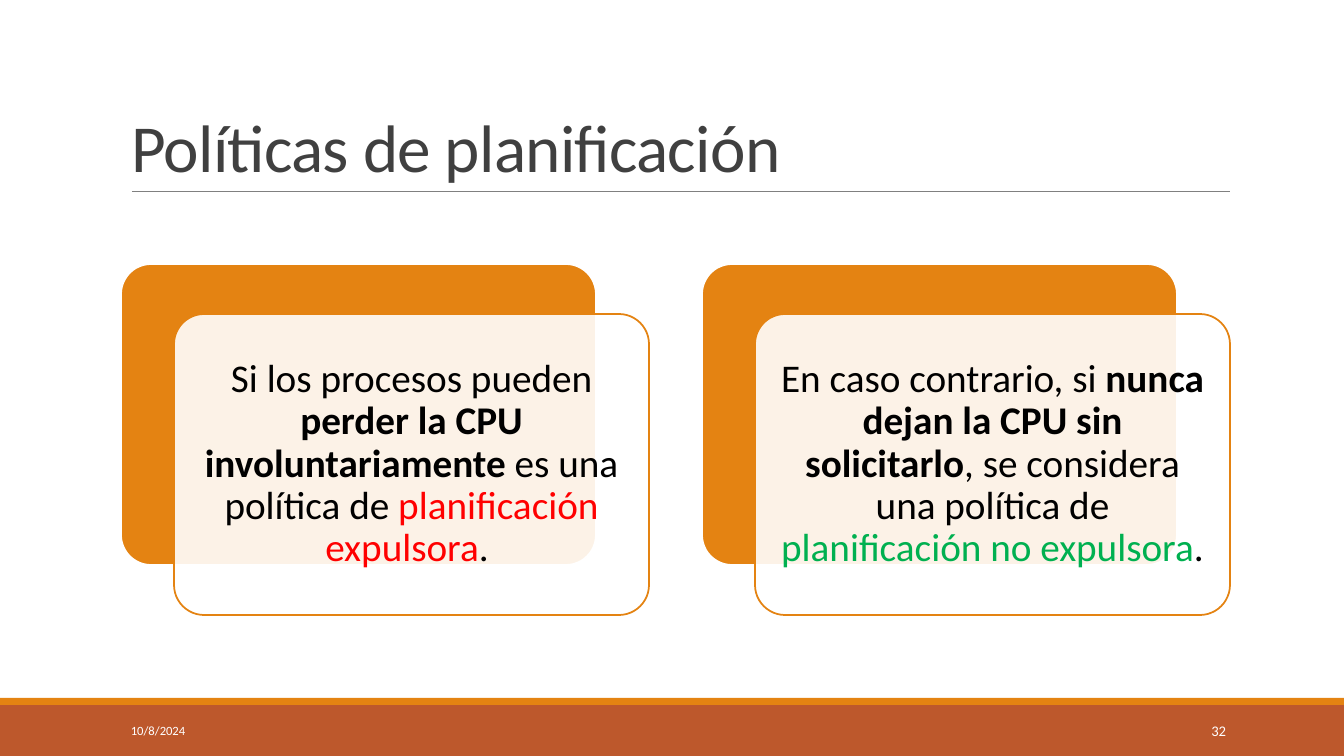
import pptx
import pptx.util
import pptx.dml.color
import pptx.enum.shapes
import pptx.enum.text
import pptx.oxml
import pptx.oxml.ns
from lxml import etree

SLIDE_W, SLIDE_H = 1344, 756
EMU_PER_PX = 12192000 / SLIDE_W
FONT = "Calibri"
ORANGE, RUST, WHITE, BLACK = "E48312", "BD582C", "FFFFFF", "000000"
RED, GREEN = "FF0000", "00B050"
SHAPE = pptx.enum.shapes.MSO_SHAPE
ALIGN = pptx.enum.text.PP_ALIGN
ANCHOR = pptx.enum.text.MSO_ANCHOR

# Each card is a list of (text, bold, colour)
CARDS = [
    [("Si los procesos pueden ", False, BLACK),
     ("perder la CPU involuntariamente ", True, BLACK),
     ("es una política de ", False, BLACK),
     ("planificación expulsora", False, RED),
     (". ", False, BLACK)],
    [("En caso contrario, si ", False, BLACK),
     ("nunca dejan la CPU sin solicitarlo", True, BLACK),
     (", se considera una política de ", False, BLACK),
     ("planificación no expulsora", False, GREEN),
     (".", False, BLACK)],
]


def px(*lengths):
    return [pptx.util.Emu(round(length * EMU_PER_PX)) for length in lengths]


def paint(color_format, value):
    color_format.rgb = pptx.dml.color.RGBColor.from_string(value)


def set_font(font, size, color):
    font.name = FONT
    font.size = pptx.util.Pt(size)
    paint(font.color, color)


def add_block(slide, kind, box, fill, outline=None):
    block = slide.shapes.add_shape(kind, *px(*box))
    block.shadow.inherit = False
    block.fill.solid()
    paint(block.fill.fore_color, fill)
    if outline:
        paint(block.line.color, outline)
        block.line.width = pptx.util.Pt(1.25)
    else:
        block.line.fill.background()
    return block


def add_header(slide, box):
    left, top, width, height = box
    title = slide.shapes.title
    title.left, title.top, title.width, title.height = px(*box)
    frame = title.text_frame
    frame.text = "Políticas de planificación"
    frame.auto_size = pptx.enum.text.MSO_AUTO_SIZE.NONE
    frame.vertical_anchor = ANCHOR.BOTTOM
    heading = frame.paragraphs[0]
    heading.alignment = ALIGN.LEFT
    heading.line_spacing = 0.85
    set_font(heading.font, 48, "404040")
    # Slightly tightened letter spacing
    heading.runs[0].font._element.set("spc", "-50")

    # Rule under the title
    rule_y = top + height
    rule = slide.shapes.add_connector(
        pptx.enum.shapes.MSO_CONNECTOR.STRAIGHT,
        *px(left + 11, rule_y, left + width + 1, rule_y))
    paint(rule.line.color, "808080")
    rule.line.width = pptx.util.Pt(0.5)
    etree.SubElement(rule._element.spPr, pptx.oxml.ns.qn("a:effectLst"))


def add_card(slide, box, statement):
    left, top, width, height = box
    shift_x, shift_y = 53, 50
    panel_w, panel_h = width - shift_x, height - shift_y
    back = add_block(slide, SHAPE.ROUNDED_RECTANGLE,
                     (left, top, panel_w, panel_h), ORANGE, WHITE)
    front = add_block(slide, SHAPE.ROUNDED_RECTANGLE,
                      (left + shift_x, top + shift_y, panel_w, panel_h), WHITE, ORANGE)
    back.adjustments[0] = front.adjustments[0] = 0.1
    white = front.fill._xPr.find(".//" + pptx.oxml.ns.qn("a:srgbClr"))
    etree.SubElement(white, pptx.oxml.ns.qn("a:alpha"), val="90000")

    frame = front.text_frame
    frame.word_wrap = True
    frame.vertical_anchor = ANCHOR.MIDDLE
    (frame.margin_left, frame.margin_top,
     frame.margin_right, frame.margin_bottom) = px(12, 12, 12, 12)
    sentence = frame.paragraphs[0]
    sentence.alignment = ALIGN.CENTER
    sentence.line_spacing = 0.9
    for text, bold, color in statement:
        part = sentence.add_run()
        part.text = text
        part.font.bold = bold
        set_font(part.font, 28, color)


def add_footer(slide, box):
    left, top, width, height = box
    stripe_h = 7
    add_block(slide, SHAPE.RECTANGLE,
              (left, top + stripe_h, width, height - stripe_h), RUST)
    add_block(slide, SHAPE.RECTANGLE, (left, top, width, stripe_h), ORANGE)
    for text, x, label_w, size, alignment in (
            ("10/8/2024", 121, 272, 9, ALIGN.LEFT),
            ("32", 1092, 144, 10.5, ALIGN.RIGHT)):
        label = slide.shapes.add_textbox(*px(left + x, top + 13, label_w, 40))
        frame = label.text_frame
        frame.word_wrap = True
        frame.vertical_anchor = ANCHOR.MIDDLE
        frame.text = text
        frame.paragraphs[0].alignment = alignment
        set_font(frame.paragraphs[0].font, size, WHITE)


def main():
    deck = pptx.Presentation()
    deck.slide_width, deck.slide_height = px(SLIDE_W, SLIDE_H)
    slide = deck.slides.add_slide(deck.slide_layouts[5])

    add_footer(slide, (0, 698, SLIDE_W, 58))
    add_header(slide, (121, 31, 1108, 160))

    # Two equal cards side by side
    card_w, card_gap = 528, 53
    for index, statement in enumerate(CARDS):
        add_card(slide, (121 + index * (card_w + card_gap), 264, card_w, 351), statement)

    deck.save("out.pptx")


if __name__ == "__main__":
    main()
